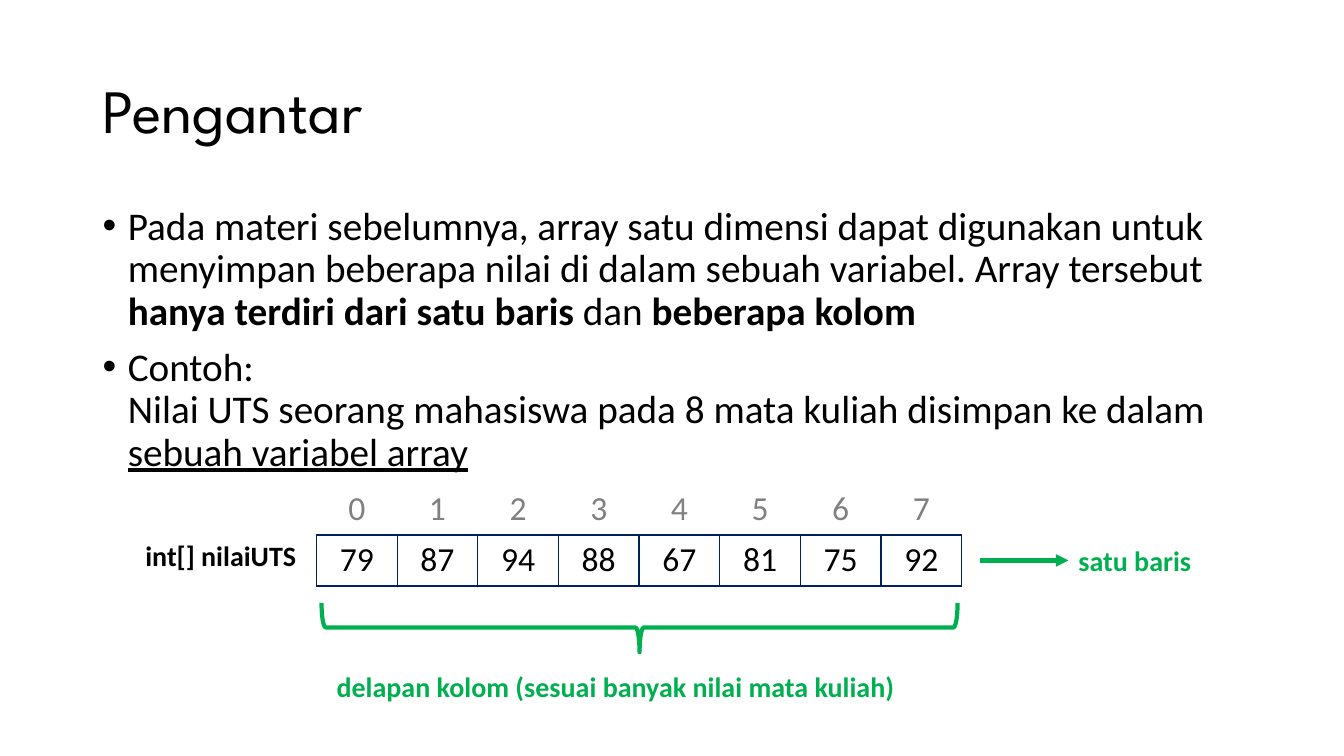
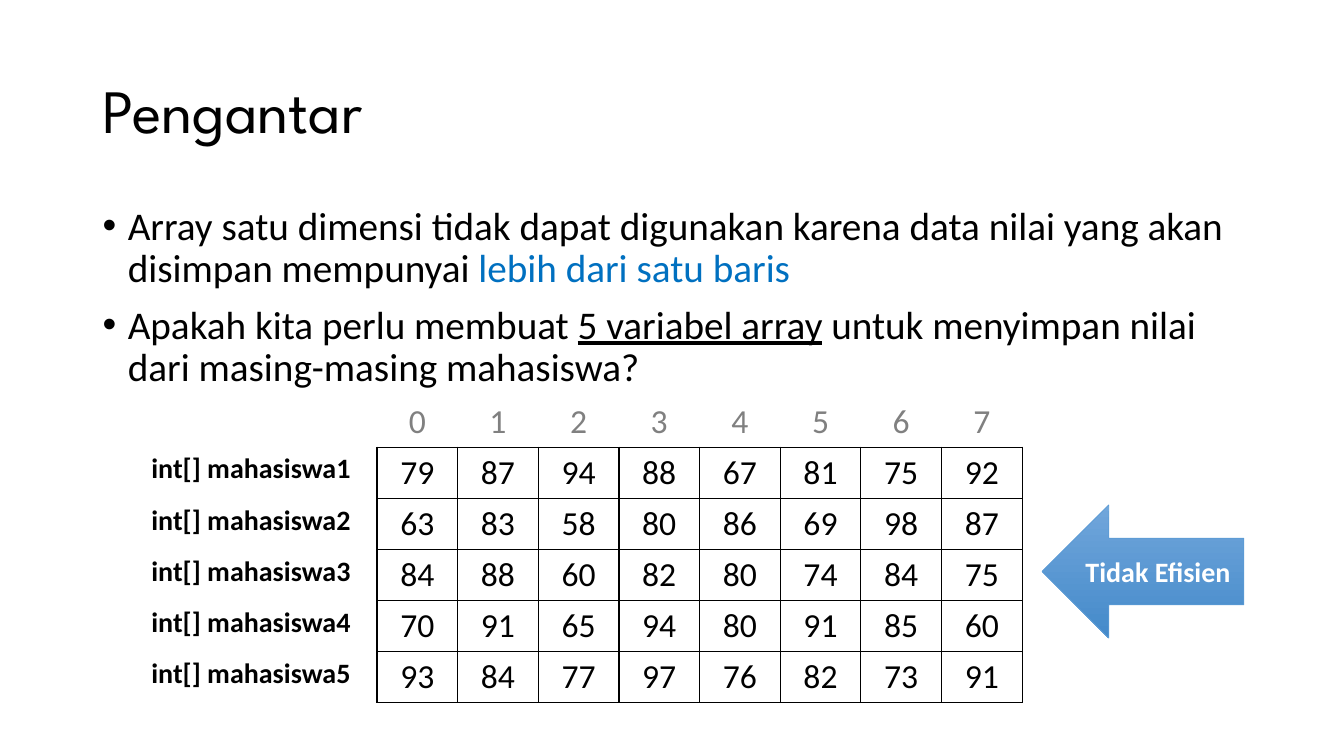
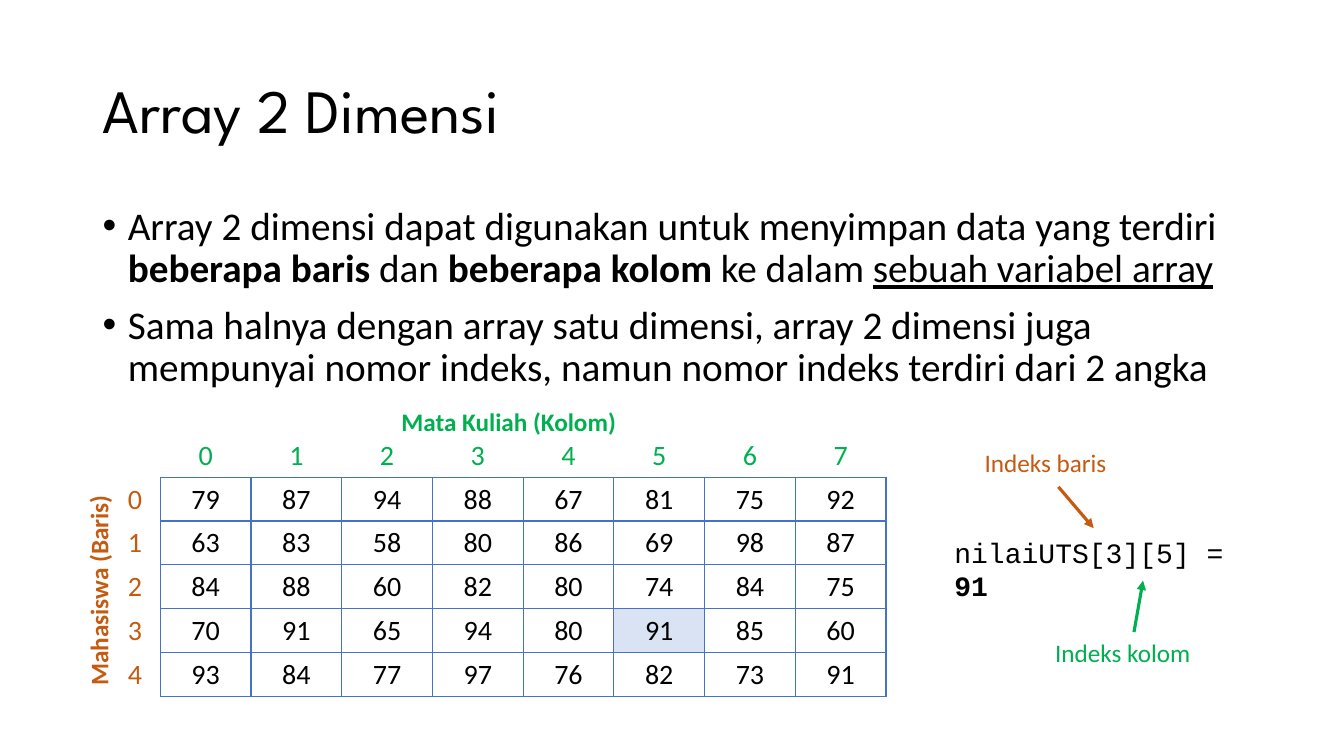
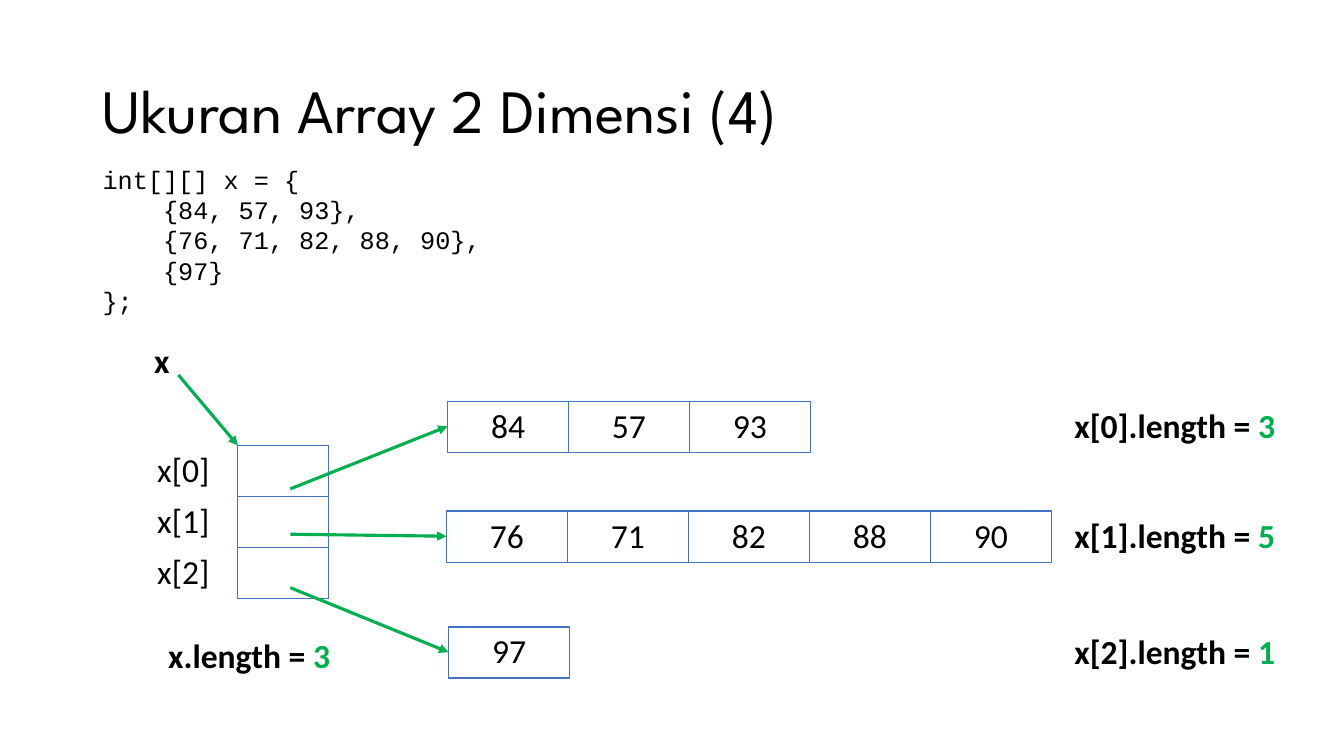
from lxml.etree import SubElement
from pptx import Presentation
from pptx.dml.color import RGBColor
from pptx.enum.shapes import MSO_CONNECTOR as Link, MSO_SHAPE as Form
from pptx.enum.text import MSO_ANCHOR as Anchor, MSO_AUTO_SIZE as Fit, PP_ALIGN as Align
from pptx.oxml import parse_xml
from pptx.oxml.ns import nsdecls, qn
from pptx.util import Pt

# Colours
BLACK = RGBColor(0x00, 0x00, 0x00)
WHITE = RGBColor(0xFF, 0xFF, 0xFF)
GREY = RGBColor(0x80, 0x80, 0x80)
GREEN = RGBColor(0x00, 0xB0, 0x50)
RUST = RGBColor(0xC5, 0x5A, 0x11)
NAVY = RGBColor(0x00, 0x20, 0x60)
BLUE = RGBColor(0x44, 0x72, 0xC4)
AZURE = RGBColor(0x00, 0x70, 0xC0)
SKY = RGBColor(0x5B, 0x9B, 0xD5)
LIGHT = RGBColor(0x71, 0xA6, 0xDB)
DEEP = RGBColor(0x44, 0x8A, 0xCA)
PALE = RGBColor(0xDA, 0xE3, 0xF3)

# Text styles
BOLD = {"bold": True}
UNDER = {"underline": True}
TITLE = {"name": "League Spartan", "size": 44}
BODY = {"size": 28}
VALUE = {"size": 24}
NOTE = {"size": 20, "color": GREEN} | BOLD
SMALL = {"size": 18}
CODE = {"name": "Courier New"}
INDEX = {"size": 24, "color": GREY}
NAME = {"size": 20} | BOLD

# Shared layout and data
LEFT, WIDE = 66.24, 828
CODE_STEP = 43.2
NO_STYLE = "{2D5ABB26-0587-4C30-8999-92F81FD0307C}"
SCORES = [
    [79, 87, 94, 88, 67, 81, 75, 92],
    [63, 83, 58, 80, 86, 69, 98, 87],
    [84, 88, 60, 82, 80, 74, 84, 75],
    [70, 91, 65, 94, 80, 91, 85, 60],
    [93, 84, 77, 97, 76, 82, 73, 91],
]
HEAD = ["", *range(8)]


def points(*values):
    return [Pt(value) for value in values]


def style(font, size=None, color=None, bold=None, underline=None, name=None):
    if size:
        font.size = Pt(size)
    if color is not None:
        font.color.rgb = color
    if name:
        font.name = name
    if bold is not None:
        font.bold = bold
    if underline is not None:
        font.underline = underline


def write(par, runs, look, align=Align.LEFT):
    """Fill a paragraph; a run is a string or a (string, style) pair."""
    par.alignment = align
    style(par.font, **({"name": "Calibri", "color": BLACK} | look))
    for item in runs:
        text, extra = item if isinstance(item, tuple) else (item, {})
        if text == "\n":
            par.add_line_break()
            continue
        run = par.add_run()
        run.text = text
        style(run.font, **extra)


def new_slide(deck, title):
    slide = deck.slides.add_slide(deck.slide_layouts[5])
    box = slide.shapes.title
    box.left, box.top, box.width, box.height = points(LEFT, 28.8, WIDE, 104.4)
    frame = box.text_frame
    frame.auto_size = Fit.NONE
    frame.vertical_anchor = Anchor.MIDDLE
    par = frame.paragraphs[0]
    par.line_spacing = 0.9
    write(par, [title], TITLE)
    return slide


def label(slide, at, runs, look, align=Align.LEFT, wrap=False):
    box = slide.shapes.add_textbox(*points(*at))
    box.text_frame.word_wrap = wrap
    write(box.text_frame.paragraphs[0], runs, look, align)
    return box


def stack(slide, top, high, count):
    """Add a body box and return its paragraphs."""
    frame = slide.shapes.add_textbox(*points(LEFT, top, WIDE, high)).text_frame
    frame.word_wrap = True
    for _ in range(count - 1):
        frame.add_paragraph()
    return frame.paragraphs


def bullets(slide, *items):
    for par, runs in zip(stack(slide, 144, 342.72, len(items)), items):
        par.line_spacing = 0.9
        par.space_before = Pt(10)
        props = par._p.get_or_add_pPr()
        props.set("marL", str(Pt(18)))
        props.set("indent", str(Pt(-18)))
        SubElement(props, qn("a:buFont"), typeface="Arial")
        SubElement(props, qn("a:buChar"), char="•")
        write(par, runs, BODY)


def listing(slide, lines):
    """Show code lines, each given as (indent level, text)."""
    for par, (level, text) in zip(stack(slide, 113.76, 372.96, len(lines)), lines):
        par._p.get_or_add_pPr().set("marL", str(Pt(level * CODE_STEP)))
        write(par, [text], SMALL | CODE)


def border(cell, color):
    props = cell._tc.get_or_add_tcPr()
    for spot, side in enumerate("LRTB"):
        props.insert(spot, parse_xml(
            f'<a:ln{side} {nsdecls("a")} w="{Pt(1)}"><a:solidFill>'
            f'<a:srgbClr val="{color}"/></a:solidFill></a:ln{side}>'))


def grid(slide, at, widths, high, rows, line, look=VALUE, head=None, side=None,
         place=Align.CENTER):
    """Add a table; head and side style its index row and label column."""
    size = points(sum(widths), high * len(rows))
    table = slide.shapes.add_table(len(rows), len(widths), *points(*at), *size).table
    table.first_row = table.horz_banding = False
    table._tbl.tblPr.find(qn("a:tableStyleId")).text = NO_STYLE
    for col, width in zip(table.columns, widths):
        col.width = Pt(width)
    for r, row in enumerate(rows):
        table.rows[r].height = Pt(high)
        for c, value in enumerate(row):
            cell = table.cell(r, c)
            cell.fill.background()
            top, first = head and r == 0, side and c == 0
            if not top and not first:
                border(cell, line)
            kind = head if top else side if first else look
            write(cell.text_frame.paragraphs[0], [str(value)] if value != "" else [],
                  kind, place)
    return table


def arrow(slide, start, end, color=GREEN, width=2.25):
    link = slide.shapes.add_connector(Link.STRAIGHT, *points(*start, *end))
    link.line.color.rgb = color
    link.line.width = Pt(width)
    SubElement(link.line._get_or_add_ln(), qn("a:tailEnd"), type="triangle")
    SubElement(link._element.spPr, qn("a:effectLst"))
    return link


def shape(slide, form, at, line, width):
    item = slide.shapes.add_shape(form, *points(*at))
    item.shadow.inherit = False
    item.line.color.rgb = line
    item.line.width = Pt(width)
    return item


def one_row(deck):
    slide = new_slide(deck, "Pengantar")
    bullets(
        slide,
        ["Pada materi sebelumnya, array satu dimensi dapat digunakan untuk menyimpan "
         "beberapa nilai di dalam sebuah variabel. Array tersebut ",
         ("hanya terdiri dari satu baris", BOLD), " dan ", ("beberapa kolom", BOLD)],
        ["Contoh:", "\n",
         "Nilai UTS seorang mahasiswa pada 8 mata kuliah disimpan ke dalam ",
         ("sebuah variabel array", UNDER)])
    grid(slide, (89.28, 345.6), [136.8] + [57.6] * 8, 36.5,
         [HEAD, ["int[] nilaiUTS", *SCORES[0]]], NAVY, head=INDEX, side=NAME)
    # Row and column notes
    note = label(slide, (763.2, 384.48, 99.36, 31.68), ["satu baris"], NOTE, wrap=True)
    arrow(slide, (699.84, 400.32), (763.2, 400.32), width=3).end_connect(note, 1)
    brace = shape(slide, Form.LEFT_BRACE, (439.2, 221.04, 35.28, 454.32), GREEN, 3)
    brace.rotation = 270
    brace.fill.background()
    label(slide, (233.28, 474.48, 444.96, 31.68),
          ["delapan kolom (sesuai banyak nilai mata kuliah)"], NOTE, wrap=True)


def five_rows(deck):
    slide = new_slide(deck, "Pengantar")
    bullets(
        slide,
        ["Array satu dimensi tidak dapat digunakan karena data nilai yang akan disimpan "
         "mempunyai ", ("lebih dari satu baris", {"color": AZURE})],
        ["Apakah kita perlu membuat ", ("5 variabel array", UNDER),
         " untuk menyimpan nilai dari masing-masing mahasiswa?"])
    rows = [[f"int[] mahasiswa{n}", *row] for n, row in enumerate(SCORES, 1)]
    grid(slide, (89.28, 282.96), [180] + [57.6] * 8, 36.5, [HEAD, *rows], BLACK,
         head=INDEX, side=NAME)
    # Verdict arrow
    sign = shape(slide, Form.LEFT_ARROW, (744.48, 360.72, 144, 95.04), SKY, 0.5)
    sign.fill.gradient()
    sign.fill.gradient_angle = 270
    for stop, color in zip(sign.fill.gradient_stops, (LIGHT, DEEP)):
        stop.color.rgb = color
    sign.text_frame.vertical_anchor = Anchor.MIDDLE
    write(sign.text_frame.paragraphs[0], ["Tidak Efisien"], NAME | {"color": WHITE})


def two_dims(deck):
    slide = new_slide(deck, "Array 2 Dimensi")
    bullets(
        slide,
        ["Array 2 dimensi dapat digunakan untuk menyimpan data yang terdiri ",
         ("beberapa baris", BOLD), " dan ", ("beberapa kolom", BOLD), " ke dalam ",
         ("sebuah variabel array", UNDER)],
        ["Sama halnya dengan array satu dimensi, array 2 dimensi juga mempunyai nomor "
         "indeks, namun nomor indeks terdiri dari 2 angka"])
    # Table with its axis names
    rust, green = {"color": RUST}, {"color": GREEN}
    axis = label(slide, (-7.92, 405.36, 156.24, 28.8), ["Mahasiswa (Baris) "],
                 SMALL | BOLD | rust, Align.CENTER)
    axis.rotation = 270
    label(slide, (278.64, 286.56, 173.52, 28.8), ["Mata Kuliah (Kolom) "],
          SMALL | BOLD | green, Align.CENTER)
    look = {"size": 20}
    rows = [[n, *row] for n, row in enumerate(SCORES)]
    table = grid(slide, (78.48, 309.6), [36] + [64.8] * 8, 31.3, [HEAD, *rows], BLUE,
                 look, head=look | green, side=look | rust)
    chosen = table.cell(4, 6).fill
    chosen.solid()
    chosen.fore_color.rgb = PALE
    # Index example
    label(slide, (674.64, 378.72, 225.36, 31.68), ["nilaiUTS[3][5] = ", ("91", BOLD)],
          look | CODE, wrap=True)
    arrow(slide, (756, 347.76), (781.2, 377.28), RUST)
    arrow(slide, (810, 451.44), (816.48, 414.72))
    label(slide, (696.24, 316.08, 102.24, 28.8), ["Indeks baris"], SMALL | rust)
    label(slide, (746.64, 451.44, 112.32, 28.8), ["Indeks kolom"], SMALL | green)


def lengths(deck):
    slide = new_slide(deck, "Ukuran Array 2 Dimensi (4)")
    listing(slide, [(0, "int[][] x = {"), (1, "{84, 57, 93},"),
                    (1, "{76, 71, 82, 88, 90},"), (1, "{97}"), (0, "};")])
    # Outer array
    strong = VALUE | BOLD
    green = {"color": GREEN}
    grid(slide, (105.12, 318.24), [64.8] * 2, 36.5, [[f"x[{n}]", ""] for n in range(3)],
         BLUE, side=VALUE, place=Align.LEFT)
    label(slide, (102.96, 239.04, 25.92, 36), ["x"], strong)
    arrow(slide, (127.44, 267.84), (169.92, 318.24))
    label(slide, (113.04, 450, 131.04, 36), ["x.length = ", ("3", green)], strong)
    # Inner arrays: left, top, arrow start, values
    inner = [(319.68, 286.56, 349.2, [84, 57, 93]),
             (318.96, 365.04, 381.6, [76, 71, 82, 88, 90]),
             (320.4, 447.84, 419.76, [97])]
    for n, (left, top, start, values) in enumerate(inner):
        grid(slide, (left, top), [86.4] * len(values), 36.5, [values], BLUE)
        arrow(slide, (207.36, start), (left, top + 18))
        label(slide, (760.32, top - 0.72, 159.12, 36),
              [f"x[{n}].length = ", (str(len(values)), green)], strong)


def main():
    deck = Presentation()
    deck.slide_width, deck.slide_height = points(960, 540)
    for build in (one_row, five_rows, two_dims, lengths):
        build(deck)
    deck.save("out.pptx")


if __name__ == "__main__":
    main()
